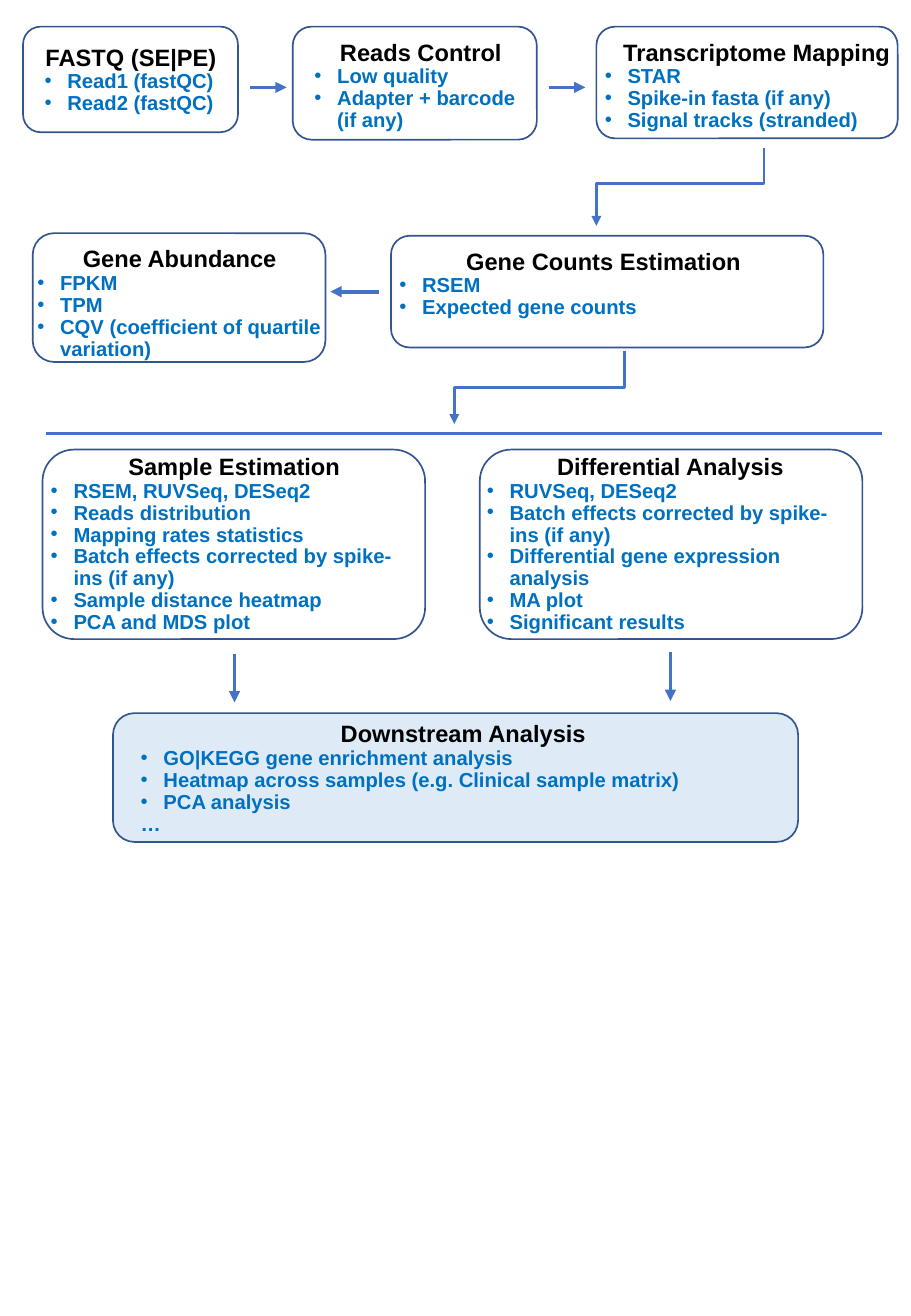
from lxml import etree
from pptx import Presentation
from pptx.dml.color import RGBColor
from pptx.enum.shapes import MSO_CONNECTOR, MSO_SHAPE
from pptx.enum.text import MSO_AUTO_SIZE, PP_ALIGN
from pptx.oxml.ns import qn
from pptx.util import Pt

ROUNDED = MSO_SHAPE.ROUNDED_RECTANGLE
STRAIGHT, ELBOW = MSO_CONNECTOR.STRAIGHT, MSO_CONNECTOR.ELBOW
GROW = MSO_AUTO_SIZE.SHAPE_TO_FIT_TEXT
CENTER, LEFT = PP_ALIGN.CENTER, PP_ALIGN.LEFT
COLORS = {"title": "000000", "item": "0070C0", "outline": "325491",
          "arrow": "4472C4", "panel": "DEEBF7"}
BULLET_INDENT = 13.5
ELLIPSIS = "…"

# Panels: title, box, text area, wrapped, items
PANELS = [
    ("FASTQ (SE|PE)", (13.7, 15.8, 127.4, 62.6), (19.4, 21.6, 116.6, 50.4), False,
     ["Read1 (fastQC)", "Read2 (fastQC)"]),
    ("Reads Control", (173.5, 15.8, 144.7, 67), (179.3, 18.7, 140.4, 63.4), False,
     ["Low quality", "Adapter + barcode\v(if any)"]),
    ("Transcriptome Mapping", (353.5, 15.8, 178.6, 66.2), (351.4, 18.7, 194.4, 63.4), True,
     ["STAR", "Spike-in fasta (if any)", "Signal tracks (stranded)"]),
    ("Gene Abundance", (19.4, 138.2, 173.5, 76.3), (15.1, 141.1, 182.9, 77), True,
     ["FPKM", "TPM", "CQV (coefficient of quartile variation)"]),
    ("Gene Counts Estimation", (231.8, 139.7, 256.3, 66.2), (229.7, 142.6, 256.3, 50.4), True,
     ["RSEM", "Expected gene counts"]),
    ("Sample Estimation", (25.2, 266.4, 226.8, 112.3), (23, 264.2, 231.8, 115.9), True,
     ["RSEM, RUVSeq, DESeq2", "Reads distribution", "Mapping rates statistics",
      "Batch effects corrected by spike-ins (if any)", "Sample distance heatmap",
      "PCA and MDS plot"]),
    ("Differential Analysis", (284.4, 266.4, 226.8, 112.3), (281.5, 264.2, 231.8, 115.9), True,
     ["RUVSeq, DESeq2", "Batch effects corrected by spike-ins (if any)",
      "Differential gene expression analysis", "MA plot", "Significant results"]),
    ("Downstream Analysis", (67, 422.6, 406.1, 76.3), (76.3, 422.6, 396.7, 77), True,
     ["GO|KEGG gene enrichment analysis",
      "Heatmap across samples (e.g. Clinical sample matrix)", "PCA analysis", ELLIPSIS]),
]

# Straight lines: start, end, width, arrowhead
LINES = [
    ((148.3, 51.8), (169.9, 51.8), 2.25, True),
    ((325.4, 51.8), (347, 51.8), 2.25, True),
    ((224.6, 172.8), (195.8, 172.8), 2.25, True),
    ((27.4, 257), (522.7, 257), 1.5, False),
    ((139, 387.4), (139, 416.2), 2.25, True),
    ((397.4, 386.6), (397.4, 415.4), 2.25, True),
]

# Elbows running down and left: start, end, position of the bend
ELBOWS = [
    ((452.9, 87.8), (353.5, 133.9), 0.456),
    ((370.1, 208.1), (269.3, 251.3), 0.5),
]

presentation = Presentation()
presentation.slide_width, presentation.slide_height = Pt(540), Pt(779.76)
slide = presentation.slides.add_slide(presentation.slide_layouts[6])


def add_line(kind, start, end, width, arrowhead):
    connector = slide.shapes.add_connector(kind, *map(Pt, start + end))
    connector.line.color.rgb = RGBColor.from_string(COLORS["arrow"])
    connector.line.width = Pt(width)
    properties = connector._element.spPr
    if arrowhead:
        etree.SubElement(properties.find(qn("a:ln")), qn("a:tailEnd"), type="triangle")
    etree.SubElement(properties, qn("a:effectLst"))
    return properties


def format_text(paragraph, text, size, color, alignment):
    paragraph.text = text
    paragraph.alignment = alignment
    font_format = {"name": "Arial", "size": Pt(size), "bold": True}
    for run in paragraph.runs:
        for attribute, value in font_format.items():
            setattr(run.font, attribute, value)
        run.font.color.rgb = RGBColor.from_string(COLORS[color])


# Panels with a heading and a bulleted list
for title, box, text_area, wrapped, items in PANELS:
    group = slide.shapes.add_group_shape()
    shape = group.shapes.add_shape(ROUNDED, *map(Pt, box))
    shape.shadow.inherit = False
    shape.line.color.rgb = RGBColor.from_string(COLORS["outline"])
    shape.line.width = Pt(1)
    if title == "Downstream Analysis":
        shape.fill.solid()
        shape.fill.fore_color.rgb = RGBColor.from_string(COLORS["panel"])
    else:
        shape.fill.background()

    frame = group.shapes.add_textbox(*map(Pt, text_area)).text_frame
    frame.word_wrap = wrapped
    frame.auto_size = GROW
    format_text(frame.paragraphs[0], title, 14, "title", CENTER)
    for item in items:
        paragraph = frame.add_paragraph()
        format_text(paragraph, item, 12, "item", LEFT)
        paragraph.line_spacing = Pt(13)
        if item != ELLIPSIS:
            properties = paragraph._p.get_or_add_pPr()
            properties.set("marL", str(Pt(BULLET_INDENT)))
            properties.set("indent", str(-Pt(BULLET_INDENT)))
            etree.SubElement(properties, qn("a:buFont"), typeface="Arial")
            etree.SubElement(properties, qn("a:buChar"), char="•")

# Straight arrows and the dividing rule
for start, end, width, arrowhead in LINES:
    add_line(STRAIGHT, start, end, width, arrowhead)

# Elbow arrows, laid out sideways and turned by 90 degrees
for (start_x, start_y), (end_x, end_y), bend in ELBOWS:
    center_x, center_y = (start_x + end_x) / 2, (start_y + end_y) / 2
    half_width, half_height = (end_y - start_y) / 2, (start_x - end_x) / 2
    properties = add_line(ELBOW, (center_x - half_width, center_y - half_height),
                          (center_x + half_width, center_y + half_height), 1.5, True)
    properties.find(qn("a:xfrm")).set("rot", str(90 * 60000))
    adjustments = properties.find(qn("a:prstGeom")).find(qn("a:avLst"))
    etree.SubElement(adjustments, qn("a:gd"), name="adj1", fmla=f"val {round(bend * 100000)}")

presentation.save("out.pptx")
